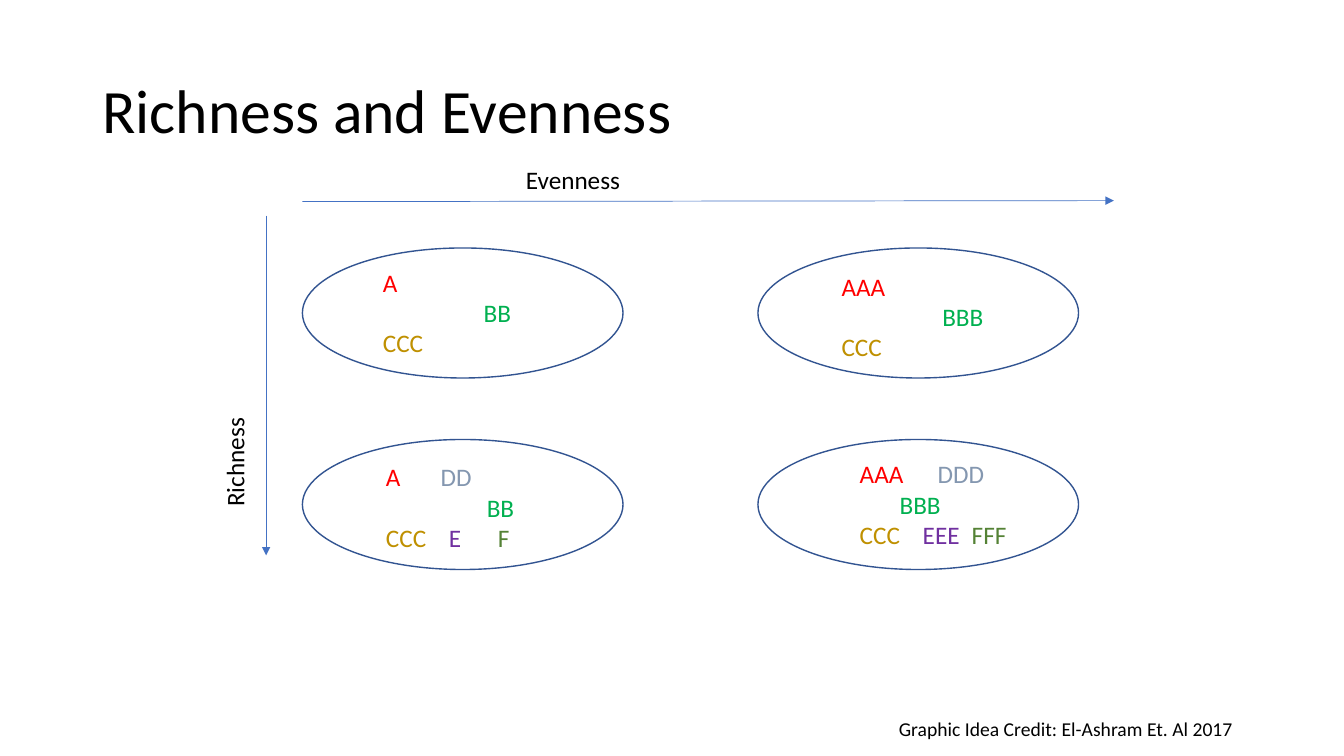
from dataclasses import dataclass, field

from lxml.etree import SubElement
from pptx import Presentation
from pptx.dml.color import RGBColor
from pptx.enum.shapes import MSO_CONNECTOR as Link, MSO_SHAPE as Kind
from pptx.enum.text import MSO_ANCHOR as Anchor
from pptx.oxml.ns import qn
from pptx.util import Pt


@dataclass(frozen=True)
class Theme:
    font: str = "Calibri"
    title: int = 44
    body: int = 18
    small: int = 14
    ink: str = "000000"
    paper: str = "FFFFFF"
    edge: str = "325491"
    arrow: str = "4472C4"
    kinds: dict = field(default_factory=lambda: {
        "A": "FF0000", "B": "00B050", "C": "BF9000",
        "D": "8497B0", "E": "7030A0", "F": "548235"})


LOOK = Theme()

# Ellipse grid
COLS, ROWS = (216, 541.4), (177.1, 313.9)
OVAL = (229, 92.9)

# Each sample: grid column, row, text corner, then lines of (word, tab stop)
SAMPLES = [
    (0, 0, (266.4, 187.2),
     [[("A", 0)], [("BB", 72)], [("CCC", 0)]]),
    (1, 0, (594, 190.1),
     [[("AAA", 0)], [("BBB", 72)], [("CCC", 0)]]),
    (0, 1, (268.6, 326.2),
     [[("A", 0), ("DD", 39)], [("BB", 72)],
      [("CCC", 0), ("E", 45), ("F", 80)]]),
    (1, 1, (607, 324),
     [[("AAA", 0), ("DDD", 55.7)], [("BBB", 28.5)],
      [("CCC", 0), ("EEE", 45), ("FFF", 80)]]),
]


def paint(color):
    return RGBColor.from_string(color)


def add_box(slide, left, top, width, height, anchor=Anchor.TOP, turn=0):
    box = slide.shapes.add_textbox(Pt(left), Pt(top), Pt(width), Pt(height))
    box.rotation = turn
    frame = box.text_frame
    frame.word_wrap = True
    frame.vertical_anchor = anchor
    return frame


def write(para, text, size=LOOK.body, color=LOOK.ink, space=None):
    run = para.add_run()
    run.text = text
    run.font.name = LOOK.font
    run.font.size = Pt(size)
    run.font.color.rgb = paint(color)
    if space:
        para.line_spacing = space


def set_tabs(para, stops):
    tabs = SubElement(para._p.get_or_add_pPr(), qn("a:tabLst"))
    for stop in stops:
        SubElement(tabs, qn("a:tab"), pos=str(Pt(stop)), algn="l")


def add_oval(slide, col, row):
    oval = slide.shapes.add_shape(
        Kind.OVAL, Pt(COLS[col]), Pt(ROWS[row]), *map(Pt, OVAL))
    oval.shadow.inherit = False
    oval.fill.solid()
    oval.fill.fore_color.rgb = paint(LOOK.paper)
    oval.line.color.rgb = paint(LOOK.edge)
    oval.line.width = Pt(1)


def add_sample(slide, corner, lines):
    frame = add_box(slide, *corner, 123.8, 72.7)
    for i, line in enumerate(lines):
        para = frame.add_paragraph() if i else frame.paragraphs[0]
        stops = [stop for _, stop in line if stop]
        if stops:
            set_tabs(para, stops)
        for word, stop in line:
            lead = "\t" if stop else ""
            write(para, lead + word, color=LOOK.kinds[word[0]])


def add_arrow(slide, *ends):
    arrow = slide.shapes.add_connector(Link.STRAIGHT, *map(Pt, ends))
    arrow.line.color.rgb = paint(LOOK.arrow)
    arrow.line.width = Pt(0.5)
    SubElement(arrow.line._get_or_add_ln(), qn("a:tailEnd"), type="triangle")
    SubElement(arrow._element.spPr, qn("a:effectLst"))


def main():
    deck = Presentation()
    deck.slide_width, deck.slide_height = Pt(960), Pt(540)
    slide = deck.slides.add_slide(deck.slide_layouts[6])

    # Title
    head = add_box(slide, 66, 28.8, 828, 104.4, anchor=Anchor.MIDDLE)
    write(head.paragraphs[0], "Richness and Evenness",
          size=LOOK.title, space=0.9)

    # Samples
    for col, row, corner, lines in SAMPLES:
        add_oval(slide, col, row)
        add_sample(slide, corner, lines)

    # Axes
    add_arrow(slide, 216, 144, 795.6, 143.3)
    add_arrow(slide, 190.1, 154.1, 190.1, 396.7)
    across = add_box(slide, 368.6, 113.8, 295.9, 28.8)
    write(across.paragraphs[0], "Evenness")
    down = add_box(slide, 19.4, 206.6, 295.9, 28.8, turn=270)
    write(down.paragraphs[0], "Richness")

    # Credit
    credit = add_box(slide, 635, 508.3, 321.1, 24.5)
    write(credit.paragraphs[0], "Graphic Idea Credit: El-Ashram Et. Al 2017",
          size=LOOK.small)

    deck.save("out.pptx")


if __name__ == "__main__":
    main()
